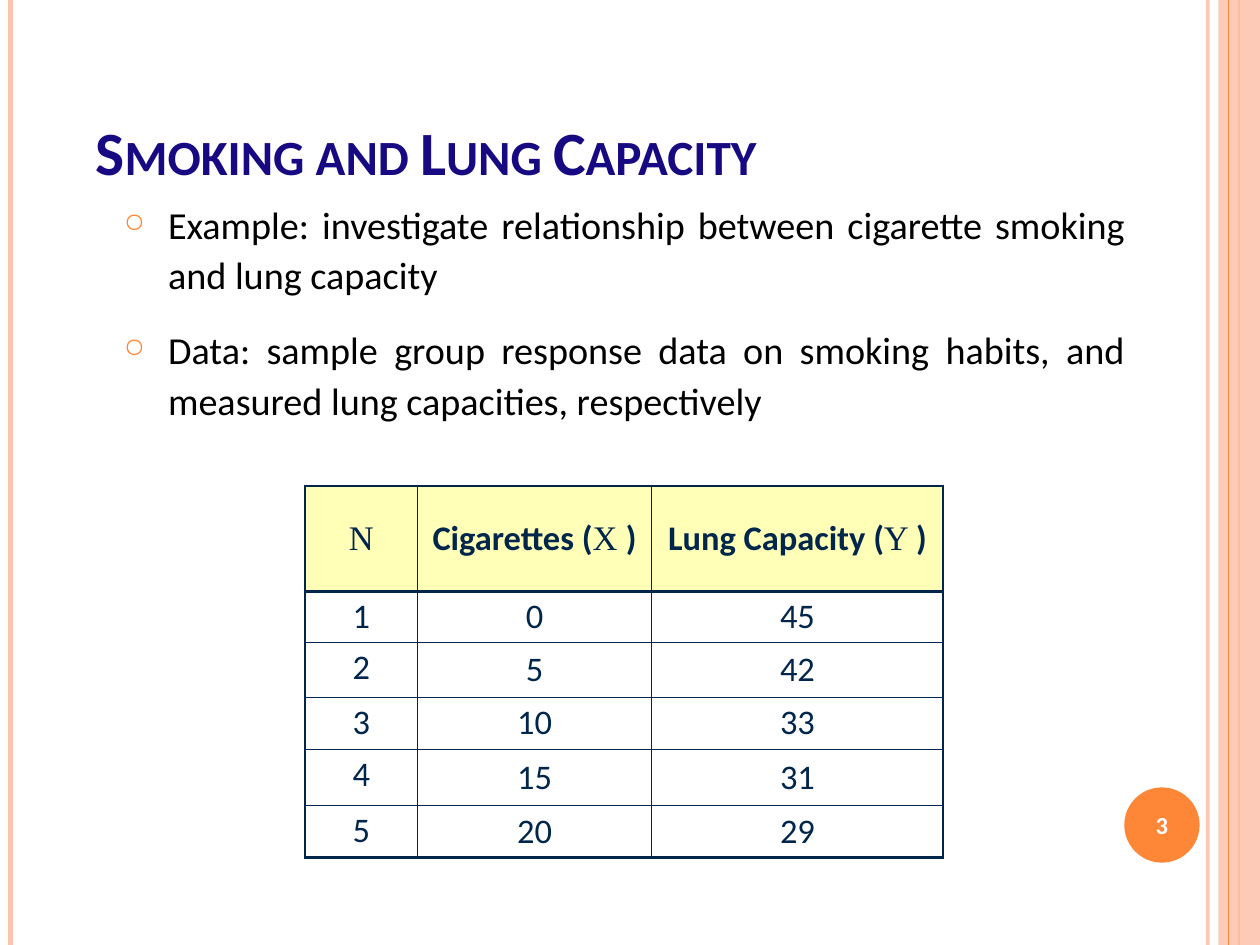
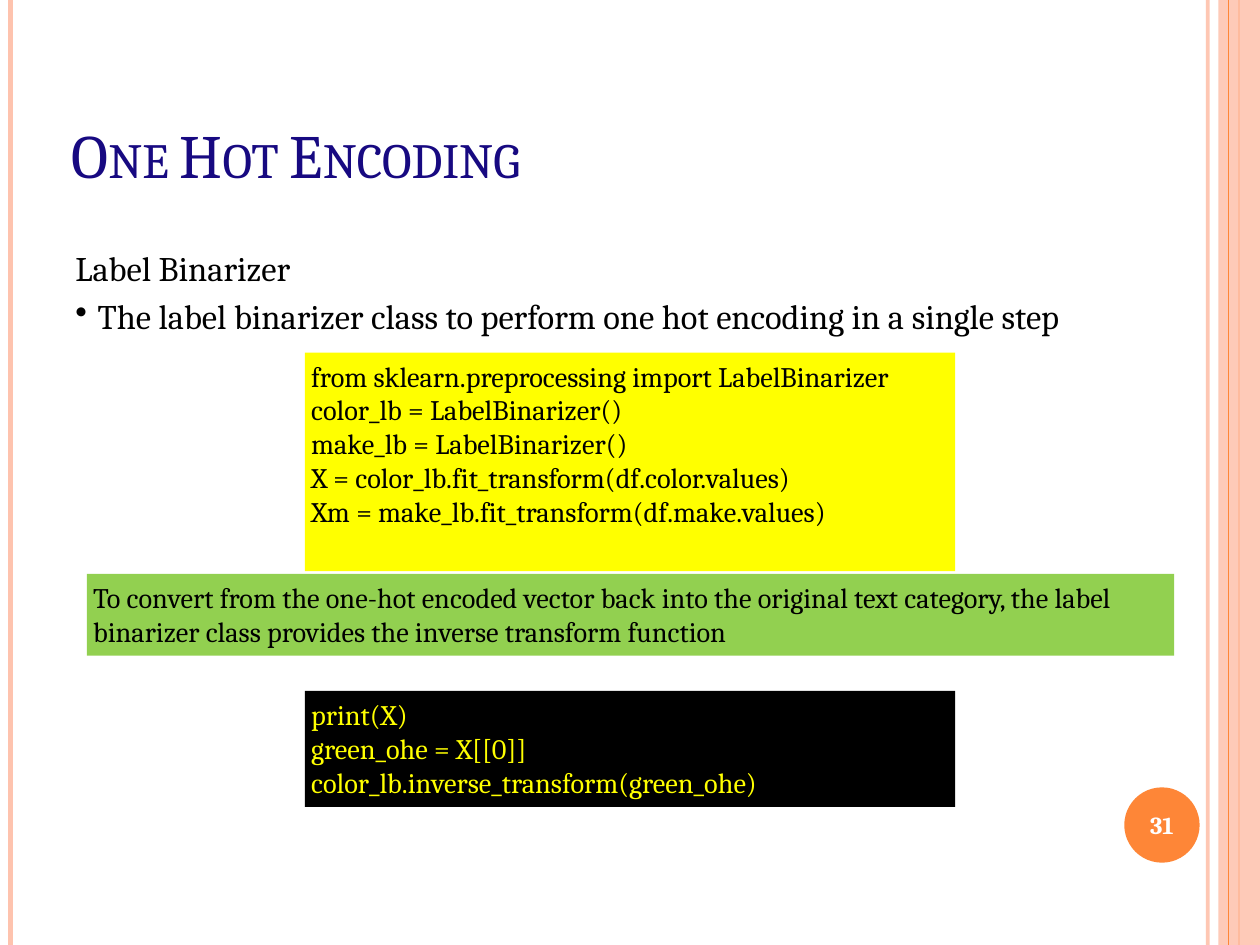
from pptx import Presentation as Deck
from pptx.util import Cm, Pt
from pptx.dml.color import RGBColor as Rgb
from pptx.enum.shapes import MSO_SHAPE as Shape, MSO_CONNECTOR as Link
from pptx.enum.text import PP_ALIGN as Align, MSO_ANCHOR as Anchor
from pptx.oxml.ns import qn
from lxml.etree import SubElement as Sub

WIDE, HIGH = 36.12, 27.1
HUES = {
    "peach": "FEC3AE", "orange": "FE8637", "title": "170981",
    "ink": "00264C", "cream": "FFFFB8", "black": "000000",
    "white": "FFFFFF", "yellow": "FFFF00", "green": "92D050",
}
SANS, SERIF, TIMES = "Calibri", "Cambria", "Times New Roman"


def hue(name):
    return Rgb.from_string(HUES[name])


def fade(part, share):
    color = next(part.iter(qn("a:srgbClr")))
    Sub(color, qn("a:alpha"), val=str(share * 1000))


def add_run(para, text, font, size, color, bold=False):
    run = para.add_run()
    run.text = text
    run.font.name, run.font.size, run.font.bold = font, Pt(size), bold
    run.font.color.rgb = hue(color)
    return run


def set_frame(frame, side, edge, anchor=Anchor.TOP):
    frame.word_wrap = True
    frame.vertical_anchor = anchor
    frame.margin_left = frame.margin_right = Cm(side)
    frame.margin_top = frame.margin_bottom = Cm(edge)


def add_box(slide, place, side=0.25, edge=0.13, anchor=Anchor.TOP):
    frame = slide.shapes.add_textbox(*map(Cm, place)).text_frame
    set_frame(frame, side, edge, anchor)
    return frame


def paras(frame, texts):
    for i, text in enumerate(texts):
        yield i, frame.add_paragraph() if i else frame.paragraphs[0], text


def bullet(para, char, indent, color, size=100):
    props = para._p.get_or_add_pPr()
    props.set("marL", str(Cm(indent)))
    props.set("indent", str(-Cm(indent)))
    tint = Sub(props, qn("a:buClr"))
    Sub(tint, qn("a:srgbClr"), val=HUES[color])
    Sub(props, qn("a:buSzPct"), val=str(size * 1000))
    Sub(props, qn("a:buChar"), char=char)
    para.alignment = Align.JUSTIFY


def add_shape(slide, kind, place, fill):
    shape = slide.shapes.add_shape(kind, *map(Cm, place))
    shape.shadow.inherit = False
    shape.fill.solid()
    shape.fill.fore_color.rgb = hue(fill)
    shape.line.fill.background()
    return shape


def add_rule(slide, x, color, width):
    rule = slide.shapes.add_connector(Link.STRAIGHT, Cm(x), 0, Cm(x), Cm(HIGH))
    rule.line.color.rgb = hue(color)
    rule.line.width = Pt(width)
    Sub(rule._element.spPr, qn("a:effectLst"))
    return rule


def add_frame(slide, number, font):
    fade(add_rule(slide, 34.62, "peach", 3)._element, 93)
    add_rule(slide, 0.3, "peach", 4.5)
    add_rule(slide, 35.53, "orange", 1.5)
    left = 34.93
    band = add_shape(slide, Shape.RECTANGLE, (left, 0, WIDE - left, HIGH), "peach")
    fade(band._element.spPr, 87)
    add_rule(slide, 35.23, "orange", 0.75)
    badge = add_shape(slide, Shape.OVAL, (32.23, 22.58, 2.16, 2.16), "orange")
    set_frame(badge.text_frame, 0, 0, Anchor.MIDDLE)
    para = badge.text_frame.paragraphs[0]
    para.alignment = Align.CENTER
    add_run(para, str(number), font, 19.9, "white", True)


def add_title(slide, text, place, font, bold=False):
    frame = add_box(slide, place, anchor=Anchor.BOTTOM)
    run = add_run(frame.paragraphs[0], text, font, 50, "title", bold)
    run.font._element.set("cap", "small")


def add_panel(slide, place, fill, color, lines):
    panel = add_shape(slide, Shape.RECTANGLE, place, fill)
    set_frame(panel.text_frame, 0.18, 0.18)
    for _, para, line in paras(panel.text_frame, lines):
        para.alignment = Align.LEFT
        add_run(para, line, SERIF, 23, color)


def set_edges(cell, sizes):
    props = cell._tc.get_or_add_tcPr()
    for side, size in zip("LRTB", sizes):
        edge = Sub(props, qn("a:ln" + side), w=str(Pt(size)))
        fill = Sub(edge, qn("a:solidFill"))
        Sub(fill, qn("a:srgbClr"), val=HUES["ink"])


def add_table(slide, left, top, cols, rows, head, data):
    table = slide.shapes.add_table(
        len(rows), len(cols), Cm(left), Cm(top), Cm(sum(cols)), Cm(sum(rows))).table
    table.horz_banding = False
    for col, width in zip(table.columns, cols):
        col.width = Cm(width)
    for row, height in zip(table.rows, rows):
        row.height = Cm(height)
    body = [[[(str(value), SANS, False)] for value in line] for line in data]
    across = [2.25] + [1] * (len(cols) - 1) + [2.25]
    down = [2.25, 3] + [1] * (len(rows) - 2) + [2.25]
    for r, line in enumerate([head] + body):
        for c, runs in enumerate(line):
            cell = table.cell(r, c)
            set_edges(cell, across[c:c + 2] + down[r:r + 2])
            cell.margin_left = cell.margin_right = Cm(0.13)
            cell.margin_top = cell.margin_bottom = Cm(0.13)
            cell.vertical_anchor = Anchor.TOP if r and not c else Anchor.MIDDLE
            if r:
                cell.fill.background()
            else:
                cell.fill.solid()
                cell.fill.fore_color.rgb = hue("cream")
            para = cell.text_frame.paragraphs[0]
            para.alignment = Align.CENTER
            for text, font, bold in runs:
                add_run(para, text, font, 28, "ink", bold)


def lung_slide(slide):
    add_frame(slide, 3, SANS)
    add_title(slide, "Smoking and Lung Capacity", (2.49, 2, 26.85, 3.51), SANS, True)
    points = [
        "Example: investigate relationship between cigarette smoking and lung capacity",
        "Data: sample group response data on smoking habits, and measured lung capacities, respectively",
    ]
    for i, para, text in paras(add_box(slide, (3.3, 5.51, 29.18, 7)), points):
        bullet(para, "○", 1.27, "orange", 70)
        para.line_spacing = 1.1
        para.space_before = Pt(20 if i else 0)
        add_run(para, text, SANS, 31, "black")
    head = [[("N", TIMES, False)]] + [
        [(name + " (", SANS, True), (sign + " ", TIMES, False), (")", SANS, True)]
        for name, sign in (("Cigarettes", "X"), ("Lung Capacity", "Y"))]
    data = [(1, 0, 45), (2, 5, 42), (3, 10, 33), (4, 15, 31), (5, 20, 29)]
    add_table(slide, 8.74, 13.94, (3.23, 6.71, 8.36),
              (3.02, 1.46, 1.57, 1.5, 1.6, 1.5), head, data)


def code_slide(slide):
    add_frame(slide, 31, SERIF)
    add_title(slide, "One Hot Encoding", (1.8, 1.09, 29.49, 4.52), SERIF)
    texts = ["Label Binarizer",
             "The label binarizer class to perform one hot encoding in a single step"]
    for i, para, text in paras(add_box(slide, (1.98, 7.04, 33.35, 2.9), 0.18, 0.18), texts):
        if i:
            bullet(para, "•", 0.64, "black")
        para.line_spacing = 0.9
        para.space_before = Pt(9 if i else 0)
        add_run(para, text, SERIF, 28, "black")
    left, width = 8.74, 18.64
    add_panel(slide, (left, 10.11, width, 6.27), "yellow", "black", [
        "from sklearn.preprocessing import LabelBinarizer",
        "color_lb = LabelBinarizer()",
        "make_lb = LabelBinarizer()",
        "X = color_lb.fit_transform(df.color.values)",
        "Xm = make_lb.fit_transform(df.make.values)",
    ])
    add_panel(slide, (2.49, 16.46, 31.17, 2.34), "green", "black", [
        "To convert from the one-hot encoded vector back into the original text category, "
        "the label binarizer class provides the inverse transform function",
    ])
    add_panel(slide, (left, 19.81, width, 3.33), "black", "yellow", [
        "print(X)",
        "green_ohe = X[[0]]",
        "color_lb.inverse_transform(green_ohe)",
    ])


def main():
    deck = Deck()
    deck.slide_width, deck.slide_height = Cm(WIDE), Cm(HIGH)
    for build in (lung_slide, code_slide):
        build(deck.slides.add_slide(deck.slide_layouts[6]))
    deck.save("out.pptx")


if __name__ == "__main__":
    main()
